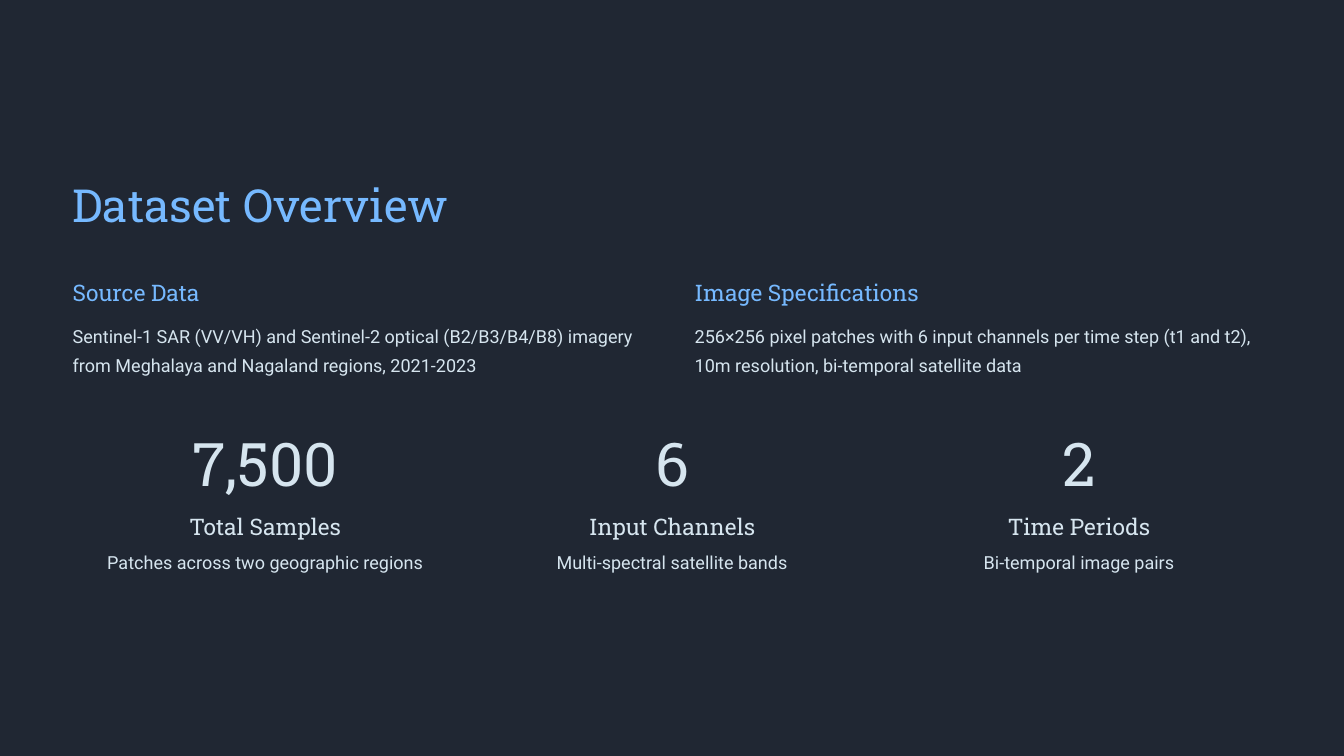
from pptx import Presentation
from pptx.dml.color import RGBColor
from pptx.enum.shapes import MSO_SHAPE
from pptx.enum.text import MSO_AUTO_SIZE, PP_ALIGN
from pptx.util import Cm, Pt

RECTANGLE = MSO_SHAPE.RECTANGLE
LEFT, CENTER = PP_ALIGN.LEFT, PP_ALIGN.CENTER
FIT = MSO_AUTO_SIZE.SHAPE_TO_FIT_TEXT
NAVY = RGBColor(0x20, 0x27, 0x33)
BLUE = RGBColor(0x76, 0xB9, 0xFF)
PALE = RGBColor(0xD6, 0xE5, 0xEF)
SLAB, SANS = "Roboto Slab", "Roboto"

TITLE = (SLAB, 48.8, 60.6)
HEADING = (SLAB, 24.4, 30)
BODY = (SANS, 19.3, 31.2)
FIGURE = (SLAB, 64.4, 64.4)

MARGIN = 2.75
COLUMN_PITCH = 23.51
STAT_PITCH = 15.38
STAT_WIDTH = 14.55
LABEL_WIDTH = 8.61

prs = Presentation()
prs.slide_width, prs.slide_height = Cm(50.8), Cm(28.58)
s = prs.slides.add_slide(prs.slide_layouts[6])

sp = s.shapes.add_shape(RECTANGLE, 0, 0, prs.slide_width, prs.slide_height)
sp.shadow.inherit = False
sp.fill.solid()
sp.fill.fore_color.rgb = NAVY
sp.line.fill.background()


def add_text(text, left, top, width, height, style, color, align=LEFT):
    tf = s.shapes.add_textbox(Cm(left), Cm(top), Cm(width), Cm(height)).text_frame
    tf.margin_left = tf.margin_top = tf.margin_right = tf.margin_bottom = 0
    tf.word_wrap = True
    tf.auto_size = FIT
    p = tf.paragraphs[0]
    p.text = text
    p.alignment = align
    font, size, spacing = style
    p.line_spacing = Pt(spacing)
    p.font.name = font
    p.font.size = Pt(size)
    p.font.color.rgb = color


add_text("Dataset Overview", MARGIN, 6.6, 17.22, 2.18, TITLE, BLUE)

columns = [
    ("Source Data",
     "Sentinel-1 SAR (VV/VH) and Sentinel-2 optical (B2/B3/B4/B8) imagery "
     "from Meghalaya and Nagaland regions, 2021-2023"),
    ("Image Specifications",
     "256×256 pixel patches with 6 input channels per time step (t1 and t2), "
     "10m resolution, bi-temporal satellite data"),
]
for i, (heading, body) in enumerate(columns):
    left = MARGIN + i * COLUMN_PITCH
    add_text(heading, left, 10.52, LABEL_WIDTH, 1.07, HEADING, BLUE)
    add_text(body, left, 12.01, 21.79, 2.46, BODY, PALE)

stats = [
    ("7,500", "Total Samples", "Patches across two geographic regions"),
    ("6", "Input Channels", "Multi-spectral satellite bands"),
    ("2", "Time Periods", "Bi-temporal image pairs"),
]
for i, (figure, label, detail) in enumerate(stats):
    left = MARGIN + i * STAT_PITCH
    label_left = left + (STAT_WIDTH - LABEL_WIDTH) / 2
    add_text(figure, left, 16.56, STAT_WIDTH, 1.93, FIGURE, PALE, CENTER)
    add_text(label, label_left, 19.35, LABEL_WIDTH, 1.07, HEADING, PALE, CENTER)
    add_text(detail, left, 20.57, STAT_WIDTH, 1.37, BODY, PALE, CENTER)

prs.save("out.pptx")
